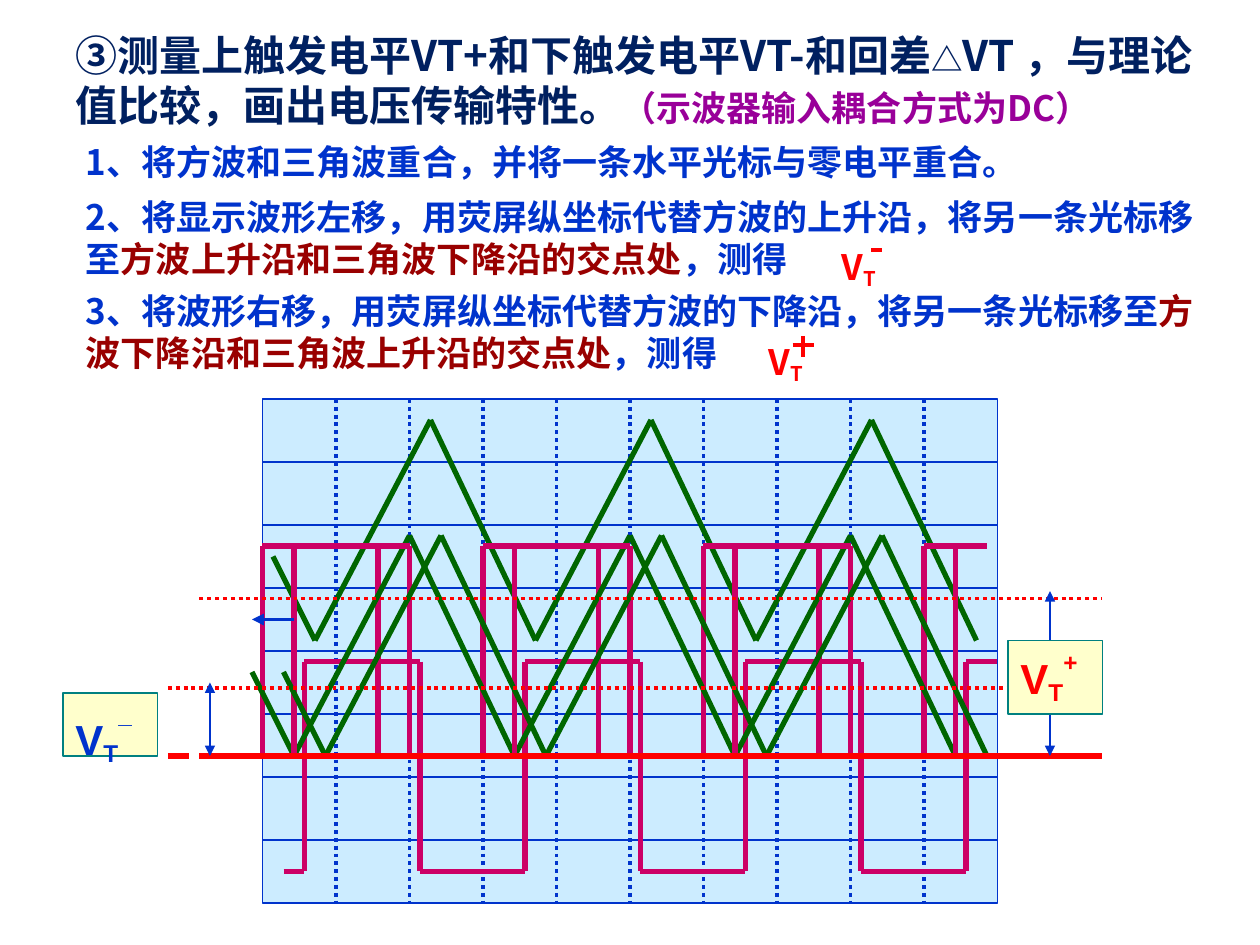
"""Builds the slide on measuring Schmitt trigger thresholds, laid out on a grid of 120 by 90 units."""
from itertools import pairwise

from lxml import etree
from pptx import Presentation
from pptx import util as u
from pptx.dml.color import RGBColor
from pptx.enum import dml, shapes, text
from pptx.oxml.ns import qn

COLORS = {
    "navy": "002060", "purple": "990099", "blue": "0033CC", "brown": "990000",
    "red": "FF0000", "sky": "CCECFF", "cream": "FFFFCC", "teal": "008080",
    "square": "CC0066", "triangle": "006600",
}
CJK, LATIN = "Noto Sans CJK SC", "Arial"
DOT, DASH = dml.MSO_LINE.ROUND_DOT, dml.MSO_LINE.DASH

# Runs: text, size, colour, baseline in percent
TITLE = ((6, 2.2, 109, 10.8), [
    ("③测量上触发电平VT+和下触发电平VT-和回差", 24, "navy", 0),
    ("△", 18, "navy", 0),
    ("VT ，与理论值比较，画出电压传输特性。", 24, "navy", 0),
    ("（示波器输入耦合方式为DC）", 20, "purple", 0),
])
THRESHOLD = [("V", 20, "red", 0), ("T", 20, "red", -18)]
STEPS = [
    ((7, 12.8, 107, 5.3), [("1、将方波和三角波重合，并将一条水平光标与零电平重合。", 20, "blue", 0)]),
    ((7, 18, 108, 9.2), [
        ("2、将显示波形左移，用荧屏纵坐标代替方波的上升沿，将另一条光标移至", 20, "blue", 0),
        ("方波上升沿和三角波下降沿的交点处", 20, "brown", 0),
        ("，测得", 20, "blue", 0)]),
    ((79, 22.8, 8, 5.5), THRESHOLD),
    ((7, 27, 108, 9.2), [
        ("3、将波形右移，用荧屏纵坐标代替方波的下降沿，将另一条光标移至", 20, "blue", 0),
        ("方波下降沿和三角波上升沿的交点处", 20, "brown", 0),
        ("，测得", 20, "blue", 0)]),
    ((72, 31.8, 8, 5.5), THRESHOLD),
]
SIGNS = [(83, 23.8, 84, 23.8), (75.5, 32.9, 77.5, 32.9), (76.5, 32, 76.5, 34)]
LABELS = [
    ((6, 66, 9, 6), (6, 66, 10, 7.6),
     [("V", 24, "blue", 0), ("T", 24, "blue", -16), ("_", 24, "blue", 76)]),
    ((96, 61, 9, 7), (96, 61, 10, 6.9),
     [("V", 24, "red", 0), ("T", 24, "red", -16), ("+", 24, "red", 56)]),
]
SCREEN = (25, 38, 70, 48)
ROW, COLUMN = 6, 7
# Offsets of each trace: square wave, then triangle wave
TRACES = [((0, 0), (0, 0)), ((-4, -11), (-2, 11)), ((-1, -11), (1, 11))]
PERIOD, HIGH = 21, 11
CURSORS = [
    (16, 102, 72, 3, DASH), (16, 102, 65.5, 2.25, DOT),
    (19, 105, 72, 3, DASH), (19, 105, 57, 2.25, DOT), (21, 105, 72, 3, DASH),
]
ARROWS = [
    (20, 68, 20, 65, 0.75), (20, 68, 20, 72, 0.75),
    (100, 61.3, 100, 56.3, 0.75), (100, 68, 100, 72, 0.75), (28, 59, 24, 59, 2.25),
]


def grid(*units):
    return [u.Cm(n * 2.54 / 12) for n in units]


def rgb(name):
    return RGBColor.from_string(COLORS[name])


def line(s, ends, color, width, dash=None, arrow=False):
    c = s.shapes.add_connector(shapes.MSO_CONNECTOR.STRAIGHT, *grid(*ends))
    c.line.color.rgb = rgb(color)
    c.line.width = u.Pt(width)
    if dash:
        c.line.dash_style = dash
    if arrow:
        etree.SubElement(c.line._get_or_add_ln(), qn("a:tailEnd"), type="triangle")
    etree.SubElement(c._element.spPr, qn("a:effectLst"))


def polyline(s, points, color):
    for start, end in pairwise(points):
        line(s, start + end, color, 3)


def rect(s, box, fill, edge):
    sp = s.shapes.add_shape(shapes.MSO_SHAPE.RECTANGLE, *grid(*box))
    sp.shadow.inherit = False
    sp.fill.solid()
    sp.fill.fore_color.rgb = rgb(fill)
    sp.line.color.rgb = rgb(edge)
    sp.line.width = u.Pt(0.75)


def write(sp, box, runs, face=CJK):
    for name, value in zip(("left", "top", "width", "height"), grid(*box)):
        setattr(sp, name, value)
    tf = sp.text_frame
    frame = {"word_wrap": True, "auto_size": text.MSO_AUTO_SIZE.NONE,
             "vertical_anchor": text.MSO_ANCHOR.TOP}
    for name, value in frame.items():
        setattr(tf, name, value)
    p = tf.paragraphs[0]
    p.alignment = text.PP_ALIGN.LEFT
    for words, size, color, base in runs:
        r = p.add_run()
        r.text = words
        for name, value in {"size": u.Pt(size), "bold": True, "name": face}.items():
            setattr(r.font, name, value)
        r.font.color.rgb = rgb(color)
        rpr = r._r.get_or_add_rPr()
        etree.SubElement(rpr, qn("a:ea"), typeface=face)
        if base:
            rpr.set("baseline", str(base * 1000))


def text_box(s, box, runs, face=CJK):
    write(s.shapes.add_textbox(*grid(*box)), box, runs, face)


def square_wave(dx, dy):
    points = [(27, 83)]
    for rise in range(29, 72, PERIOD):
        fall = rise + HIGH
        points += [(rise, 83), (rise, 63), (fall, 63), (fall, 83)]
    points += [(92, 83), (92, 63), (95, 63)]
    return [(x + dx, y + dy) for x, y in points]


def triangle_wave(dx, dy):
    points = [(26, 53), (30, 61)]
    for peak in range(41, 84, PERIOD):
        points += [(peak, 40), (peak + 10, 61)]
    return [(x + dx, y + dy) for x, y in points]


def draw_screen(s):
    left, top, width, height = SCREEN
    right, bottom = left + width, top + height
    rect(s, SCREEN, "sky", "blue")
    for y in range(top + ROW, bottom, ROW):
        line(s, (left, y, right, y), "blue", 0.75)
    for x in range(left + COLUMN, right, COLUMN):
        line(s, (x, top, x, bottom), "blue", 2.25, DOT)


def main():
    prs = Presentation()
    prs.slide_width, prs.slide_height = grid(120, 90)
    s = prs.slides.add_slide(prs.slide_layouts[5])
    write(s.shapes.title, *TITLE)
    draw_screen(s)
    for square, triangle in TRACES:
        polyline(s, square_wave(*square), "square")
        polyline(s, triangle_wave(*triangle), "triangle")
    for start, end, y, width, dash in CURSORS:
        line(s, (start, y, end, y), "red", width, dash)
    for *ends, width in ARROWS:
        line(s, ends, "blue", width, arrow=True)
    for box, area, runs in LABELS:
        rect(s, box, "cream", "teal")
        text_box(s, area, runs, LATIN)
    for box, runs in STEPS:
        text_box(s, box, runs)
    for ends in SIGNS:
        line(s, ends, "red", 2.25)
    prs.save("out.pptx")


if __name__ == "__main__":
    main()
